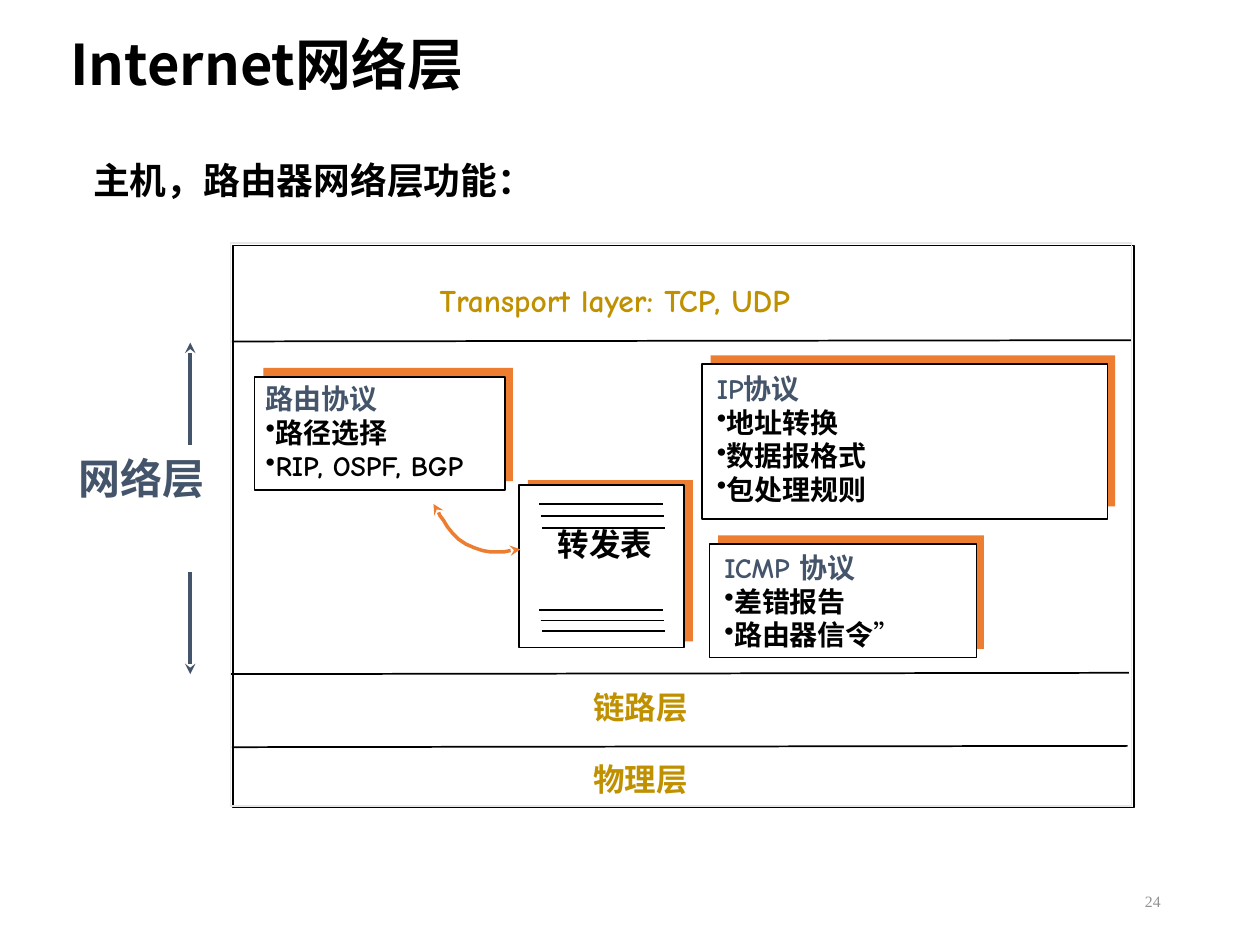
from lxml import etree
from pptx import Presentation
from pptx.dml.color import RGBColor
from pptx.enum.shapes import MSO_CONNECTOR, MSO_SHAPE
from pptx.enum.text import MSO_ANCHOR, PP_ALIGN
from pptx.oxml.ns import qn
from pptx.util import Inches, Pt

RECT, STRAIGHT = MSO_SHAPE.RECTANGLE, MSO_CONNECTOR.STRAIGHT
TOP, MIDDLE = MSO_ANCHOR.TOP, MSO_ANCHOR.MIDDLE
LEFT, CENTER, RIGHT = PP_ALIGN.LEFT, PP_ALIGN.CENTER, PP_ALIGN.RIGHT
BLACK = RGBColor(0x00, 0x00, 0x00)
WHITE = RGBColor(0xFF, 0xFF, 0xFF)
ORANGE = RGBColor(0xED, 0x7D, 0x31)
SLATE = RGBColor(0x44, 0x54, 0x6A)
GOLD = RGBColor(0xBF, 0x90, 0x00)
GREY = RGBColor(0x91, 0x92, 0x93)
PALE = RGBColor(0xE7, 0xE6, 0xE6)
CJK, COMIC, SERIF = "Noto Sans CJK SC", "Comic Neue", "Times New Roman"

prs = Presentation()
prs.slide_width, prs.slide_height = Inches(10), Inches(7.5)
slide = prs.slides.add_slide(prs.slide_layouts[6])


def add_text(shapes, text, box, size=16, color=BLACK, font=COMIC, bold=True,
             align=LEFT, anchor=TOP, wrap=False, spacing=None, bullets=()):
    """Add a text box: a first line, then any bulleted lines in black."""
    frame = shapes.add_textbox(*map(Inches, box)).text_frame
    frame.word_wrap = wrap
    frame.vertical_anchor = anchor
    for i, words in enumerate([text, *bullets]):
        paragraph = frame.add_paragraph() if i else frame.paragraphs[0]
        paragraph.alignment = align
        if spacing:
            paragraph.line_spacing = spacing
        if i:
            etree.SubElement(paragraph._p.get_or_add_pPr(), qn("a:buChar"), char="•")
        run = paragraph.add_run()
        run.text = words
        run.font.name = font
        run.font.size = Pt(size)
        run.font.bold = bold
        run.font.color.rgb = BLACK if i else color
        etree.SubElement(run._r.get_or_add_rPr(), qn("a:ea"), typeface=CJK)
    return frame


def add_line(shapes, x1, y1, x2, y2, color=BLACK, width=1, arrow=False):
    line = shapes.add_connector(STRAIGHT, *map(Inches, (x1, y1, x2, y2)))
    line.line.color.rgb = color
    line.line.width = Pt(width)
    if arrow:
        etree.SubElement(line.line._get_or_add_ln(), qn("a:tailEnd"), type="stealth")
    etree.SubElement(line._element.spPr, qn("a:effectLst"))


# Heading and slide number
add_text(slide.shapes, "Internet网络层", (0.46, 0.15, 8.5, 0.77), size=32, font=CJK,
         anchor=MIDDLE, wrap=True, spacing=0.9)
add_text(slide.shapes, "主机，路由器网络层功能：", (0.64, 1.24, 8.24, 0.48), size=21,
         font=CJK, wrap=True, spacing=0.9)
add_text(slide.shapes, "24", (7.06, 6.95, 2.25, 0.4), size=9, color=GREY, font=SERIF,
         bold=False, align=RIGHT, anchor=MIDDLE, wrap=True)

# Protocol stack frame
stack = slide.shapes.add_shape(RECT, *map(Inches, (1.85, 1.95, 7.15, 4.46)))
stack.shadow.inherit = False
stack.fill.solid()
stack.fill.fore_color.rgb = WHITE
stack.line.color.rgb = BLACK
stack.line.width = Pt(0.75)

# Layer dividers
for x1, y1, x2 in [(1.84, 2.71, 8.98), (1.83, 5.35, 8.96), (1.84, 5.93, 8.95)]:
    add_line(slide.shapes, x1, y1, x2, y1 - 0.01)

# Cards: orange backing, white front, heading, bullets
cards = [
    ((4.19, 3.81, 1.31, 1.28), (4.12, 3.85, 1.31, 1.29), (4.32, 4.12, 0.96, 0.4),
     "转发表", dict(size=18, align=CENTER)),
    ((2.09, 2.92, 1.98, 0.9), (2.02, 2.99, 1.99, 0.9), (2.01, 2.98, 2.05, 0.9),
     "路由协议", dict(color=SLATE, bullets=["路径选择", "RIP, OSPF, BGP"])),
    ((5.64, 2.82, 3.21, 1.2), (5.57, 2.89, 3.22, 1.23), (5.59, 2.9, 1.41, 1.17),
     "IP协议", dict(color=SLATE, bullets=["地址转换", "数据报格式", "包处理规则"])),
    ((5.7, 4.25, 2.11, 0.9), (5.63, 4.32, 2.12, 0.9), (5.65, 4.32, 2.08, 0.9),
     "ICMP 协议", dict(color=SLATE, wrap=True, bullets=["差错报告", "路由器信令"])),
]
card_groups = []
for backing_box, front_box, text_box, heading, text_format in cards:
    group = slide.shapes.add_group_shape()
    for box, fill in [(backing_box, ORANGE), (front_box, WHITE)]:
        panel = group.shapes.add_shape(RECT, *map(Inches, box))
        panel.shadow.inherit = False
        panel.fill.solid()
        panel.fill.fore_color.rgb = fill
        if fill == WHITE:
            panel.line.color.rgb = BLACK
            panel.line.width = Pt(1)
        else:
            panel.line.fill.background()
    card_text = add_text(group.shapes, heading, text_box, **text_format)
    card_groups.append(group)

# Closing quote of the ICMP card is not bold
quote = card_text.paragraphs[-1].add_run()
quote.text = "”"
quote.font.name = COMIC
quote.font.size = Pt(16)
quote.font.bold = False
quote.font.color.rgb = BLACK

# Ruled rows of the forwarding table
for first_row, step in [(4.0, 0.095), (4.84, 0.085)]:
    for row in range(3):
        x, y = 4.28 + 0.01 * row, first_row + step * row
        add_line(card_groups[0].shapes, x, y, x + 0.98, y)

# Curved arrow between routing protocols and forwarding table
curve = [(3.44, 4), (3.47, 4.04), (3.49, 4.09), (3.52, 4.13), (3.55, 4.18), (3.59, 4.23),
         (3.64, 4.28), (3.7, 4.32), (3.77, 4.35), (3.83, 4.37), (3.89, 4.38),
         (4, 4.38), (4.05, 4.37), (4.13, 4.36)]
points = [(Inches(x), Inches(y)) for x, y in curve]
builder = slide.shapes.build_freeform(*points[0])
builder.add_line_segments(points[1:], close=False)
exchange = builder.convert_to_shape()
exchange.shadow.inherit = False
exchange.fill.background()
exchange.line.color.rgb = ORANGE
exchange.line.width = Pt(2)
for end in ("a:headEnd", "a:tailEnd"):
    etree.SubElement(exchange.line._get_or_add_ln(), qn(end), type="stealth")

# Layer names
for name, box in [("Transport layer: TCP, UDP", (3.39, 2.18, 3.49, 0.4)),
                  ("链路层", (4.61, 5.41, 0.96, 0.4)),
                  ("物理层", (4.61, 5.98, 0.96, 0.4))]:
    add_text(slide.shapes, name, box, size=18, color=GOLD)

# Network layer label with its extent arrows
add_text(slide.shapes, "网络层", (0.51, 3.54, 1.21, 0.5), size=24, color=SLATE, align=RIGHT)
for start, tip in [(3.53, 2.72), (4.54, 5.35)]:
    add_line(slide.shapes, 1.51, start, 1.51, tip, color=SLATE, width=2, arrow=True)

# Pale outline over the stack
outline = slide.shapes.add_shape(RECT, *map(Inches, (1.83, 1.93, 7.15, 4.47)))
outline.shadow.inherit = False
outline.fill.background()
outline.line.color.rgb = PALE
outline.line.width = Pt(1)

prs.save("out.pptx")
